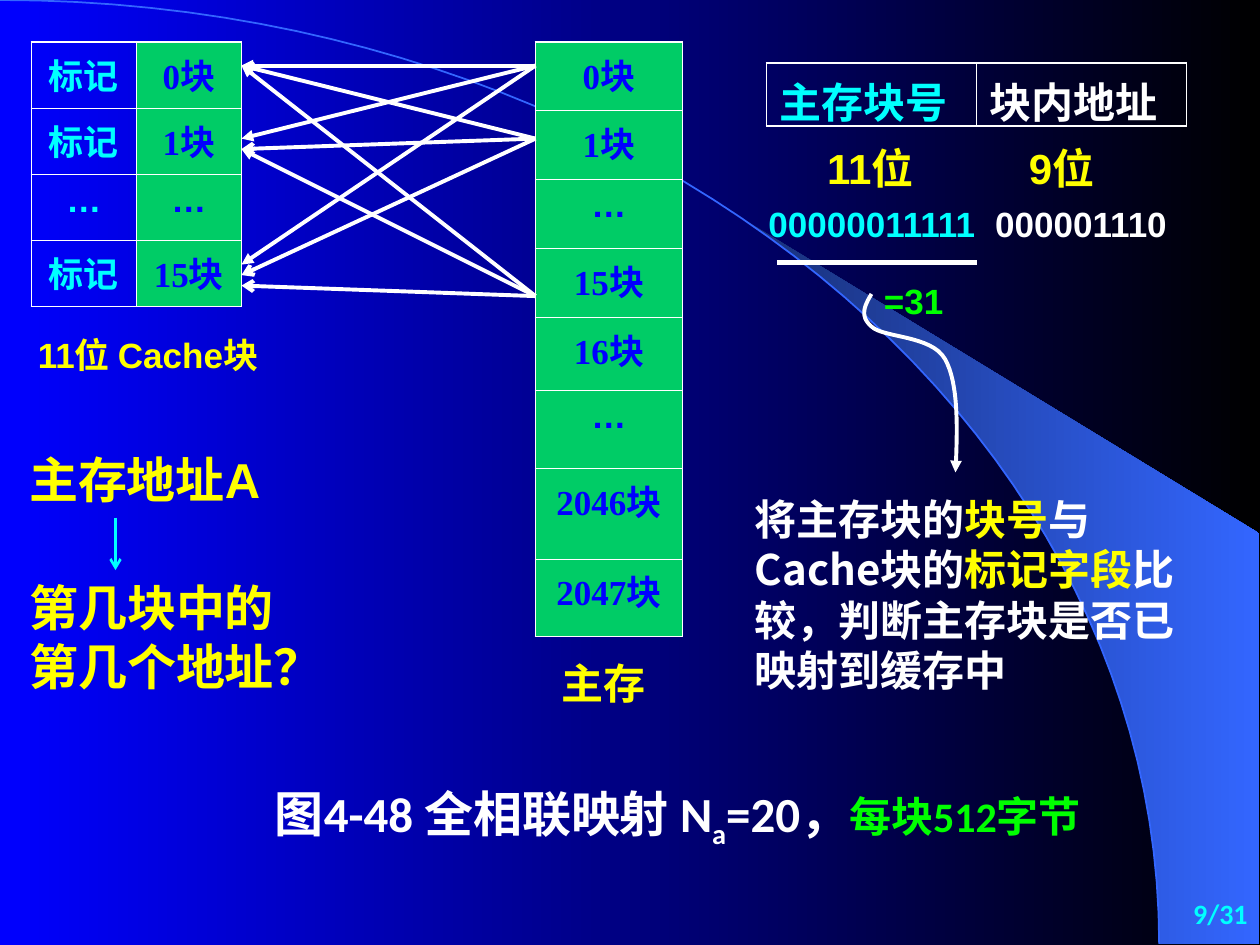
from itertools import product

from lxml.etree import SubElement
from pptx import Presentation
from pptx.dml.color import RGBColor
from pptx.enum.shapes import MSO_CONNECTOR
from pptx.enum.text import MSO_ANCHOR, PP_ALIGN
from pptx.oxml.ns import qn
from pptx.util import Inches, Pt

COLS, ROWS = 120, 90
WHITE, YELLOW, CYAN, BLUE = "FFFFFF", "FFFF00", "00FFFF", "0000FF"
LIME, GREEN, SKY = "00FF00", "00CC66", "3366FF"
CJK, SERIF, SANS, TITLE = "Noto Sans CJK SC", "Times New Roman", "Arial", "Calibri"
LEFT, CENTER, RIGHT = PP_ALIGN.LEFT, PP_ALIGN.CENTER, PP_ALIGN.RIGHT


def rgb(color):
    return RGBColor.from_string(color)


def bezier(p0, p1, p2, p3, steps=50):
    """Points along a cubic curve, both ends included."""
    points = []
    for i in range(steps + 1):
        t = i / steps
        weights = ((1 - t) ** 3, 3 * t * (1 - t) ** 2, 3 * t * t * (1 - t), t ** 3)
        points.append(tuple(sum(w * p[axis] for w, p in zip(weights, (p0, p1, p2, p3)))
                            for axis in (0, 1)))
    return points


def gradient(fill, start, end):
    fill.gradient()
    fill.gradient_angle = 0
    for stop, color in zip(fill.gradient_stops, (start, end)):
        stop.color.rgb = rgb(color)


class Canvas:
    """Places elements on a grid of COLS by ROWS equal units."""

    def __init__(self, prs):
        self.slide = prs.slides.add_slide(prs.slide_layouts[6])
        self.shapes = self.slide.shapes
        self.unit = prs.slide_width / COLS

    def emu(self, *lengths):
        return [round(n * self.unit) for n in lengths]

    def add_runs(self, p, runs, font, size, align=LEFT, tab=None):
        """Each run is (text, colour) or (text, colour, size, baseline)."""
        p.alignment = align
        if tab:
            tabs = SubElement(p._p.get_or_add_pPr(), qn("a:tabLst"))
            SubElement(tabs, qn("a:tab"), pos=str(self.emu(tab)[0]), algn="l")
        for text, color, *extra in runs:
            r = p.add_run()
            r.text = text
            r.font.name, r.font.bold = font, True
            r.font.size = Pt(extra[0] if extra else size)
            r.font.color.rgb = rgb(color)
            rPr = r._r.get_or_add_rPr()
            SubElement(rPr, qn("a:ea"), typeface=CJK)
            if len(extra) > 1:
                rPr.set("baseline", str(extra[1] * 1000))

    def text(self, box, paragraphs, font, size, align=LEFT, tab=None, anchor=MSO_ANCHOR.TOP):
        tf = self.shapes.add_textbox(*self.emu(*box)).text_frame
        tf.word_wrap = True
        tf.vertical_anchor = anchor
        for i, runs in enumerate(paragraphs):
            p = tf.add_paragraph() if i else tf.paragraphs[0]
            self.add_runs(p, runs, font, size, align, tab)

    def table(self, left, top, widths, heights, rows, columns, size, align):
        """columns holds a (text colour, fill or None) pair for each column."""
        frame = self.shapes.add_table(len(heights), len(widths), *self.emu(
            left, top, sum(widths), sum(heights)))
        table = frame.table
        table.first_row = table.horz_banding = False
        for column, width in zip(table.columns, self.emu(*widths)):
            column.width = width
        for row, height in zip(table.rows, self.emu(*heights)):
            row.height = height
        for i, row in enumerate(rows):
            for j, (text, (color, fill)) in enumerate(zip(row, columns)):
                cell = table.cell(i, j)
                self.borders(cell, lnL=j == 0, lnR=j == len(widths) - 1,
                             lnT=i == 0, lnB=i == len(heights) - 1)
                if fill:
                    cell.fill.solid()
                    cell.fill.fore_color.rgb = rgb(fill)
                else:
                    cell.fill.background()
                self.add_runs(cell.text_frame.paragraphs[0], [(text, color)],
                              SANS if text == "…" else SERIF, size, align)

    def borders(self, cell, **outer):
        """Draws the outer edges of the table thicker than the inner ones."""
        tcPr = cell._tc.get_or_add_tcPr()
        for side, is_outer in outer.items():
            ln = SubElement(tcPr, qn(f"a:{side}"), w=str(int(Pt(1.08 if is_outer else 0.45))))
            fill = SubElement(ln, qn("a:solidFill"))
            SubElement(fill, qn("a:srgbClr"), val=WHITE)

    def stroke(self, sp, color, width, head=None):
        sp.line.color.rgb = rgb(color)
        sp.line.width = Pt(width)
        if head:
            SubElement(sp._element.spPr.find(qn("a:ln")), qn("a:tailEnd"), type=head)

    def line(self, start, end, color, width, head=None):
        sp = self.shapes.add_connector(MSO_CONNECTOR.STRAIGHT, *self.emu(*start, *end))
        self.stroke(sp, color, width, head)
        SubElement(sp._element.spPr, qn("a:effectLst"))

    def outline(self, points, close=False):
        points = [tuple(self.emu(*point)) for point in points]
        builder = self.shapes.build_freeform(*points[0], scale=1.0)
        builder.add_line_segments(points[1:], close=close)
        sp = builder.convert_to_shape()
        sp.shadow.inherit = False
        return sp

    def curve(self, points, color, width, head=None):
        sp = self.outline(points)
        sp.fill.background()
        self.stroke(sp, color, width, head)

    def area(self, points, start, end):
        sp = self.outline(points, close=True)
        gradient(sp.fill, start, end)
        sp.line.fill.background()


def draw_backdrop(c):
    gradient(c.slide.background.fill, BLUE, "000000")
    arc = bezier((0, 0), (61, 0), (110.4, 40.2), (110.4, 89.9))
    c.area(arc[22:] + [(119.9, 89.9), (119.9, 50.8)], "182F76", SKY)
    c.curve(arc, SKY, 1)


def draw_mapping(c):
    cache_left, cache_right, memory_left = 3, 23, 51
    c.table(cache_left, 4, [10, 10], [6.3] * 4,
            [("标记", "0块"), ("标记", "1块"), ("…", "…"), ("标记", "15块")],
            [(CYAN, None), (BLUE, GREEN)], 20, CENTER)
    c.text((2.4, 31.2, 23.4, 9.2), [[("11位 Cache块", YELLOW)]], SANS, 20, CENTER)

    blocks = ["0块", "1块", "…", "15块", "16块", "…", "2046块", "2047块"]
    c.table(memory_left, 4, [14], [6.55] * 4 + [6.95, 7.45, 8.65, 7.4],
            [(block,) for block in blocks], [(BLUE, GREEN)], 20, CENTER)
    c.text((49, 62, 17, 6), [[("主存", YELLOW)]], CJK, 24, CENTER)

    first, second, last = 6.25, 13.2, 28.2
    targets = {first: (first, 13.2, 25.2),
               last: (first, 14.2, 27.2),
               second: (first, 14.2, 26.2)}
    for source, k in product(targets, range(3)):
        open_head = source == second or (source, k) == (last, 2)
        c.line((memory_left, source), (cache_right, targets[source][k]), WHITE, 2.25,
               "arrow" if open_head else "triangle")


def draw_address(c):
    c.table(73, 6, [20, 20], [6], [("主存块号", "块内地址")],
            [(CYAN, None), (WHITE, None)], 24, LEFT)
    c.text((77.6, 13, 32, 6), [[("11位\t9位", YELLOW)]], SANS, 24, tab=19.2)
    c.text((72, 18.7, 44, 5.3), [[("00000011111\t", CYAN), ("000001110", WHITE)]],
           SANS, 20, tab=21.6)
    c.line((74, 25), (93, 25), WHITE, 3)
    c.text((83, 26, 11, 5.3), [[("=31", LIME)]], SANS, 20)
    bend, turn = (83, 31.1), (90, 34.2)
    c.curve(bezier((83, 28), (82.4, 29), (81.8, 30.1), bend, 16)
            + bezier(bend, (84.1, 32.2), (88.7, 31.9), turn, 16)[1:]
            + bezier(turn, (91.3, 36.5), (91.2, 40.8), (91, 45), 16)[1:],
            WHITE, 2.25, "triangle")
    c.text((70.7, 46.4, 46, 20.4),
           [[("将主存块的", WHITE), ("块号", YELLOW), ("与Cache块的", WHITE),
             ("标记字段", YELLOW), ("比较，判断主存块是否已映射到缓存中", WHITE)]], CJK, 24)


def draw_captions(c):
    c.text((1.6, 42.2, 26.4, 6.8), [[("主存地址A", YELLOW)]], SANS, 28)
    c.line((11, 49.3), (11, 54.3), CYAN, 1.5, "arrow")
    c.text((1.6, 54.4, 41.4, 12.5),
           [[("第几块中的", YELLOW)], [("第几个地址？", YELLOW)]], SANS, 28)
    c.text((25, 74, 83, 12.4),
           [[("图4-48 全相联映射 N", WHITE), ("a", WHITE, 28, -25),
             ("=20，", WHITE), ("每块512字节", LIME, 24)]], TITLE, 28)
    c.text((95, 84, 25, 6), [[("9/31", CYAN)]], TITLE, 16, RIGHT, anchor=MSO_ANCHOR.MIDDLE)


def main():
    prs = Presentation()
    prs.slide_width, prs.slide_height = Inches(COLS / 12), Inches(ROWS / 12)
    c = Canvas(prs)
    for draw in (draw_backdrop, draw_mapping, draw_address, draw_captions):
        draw(c)
    prs.save("out.pptx")


if __name__ == "__main__":
    main()
